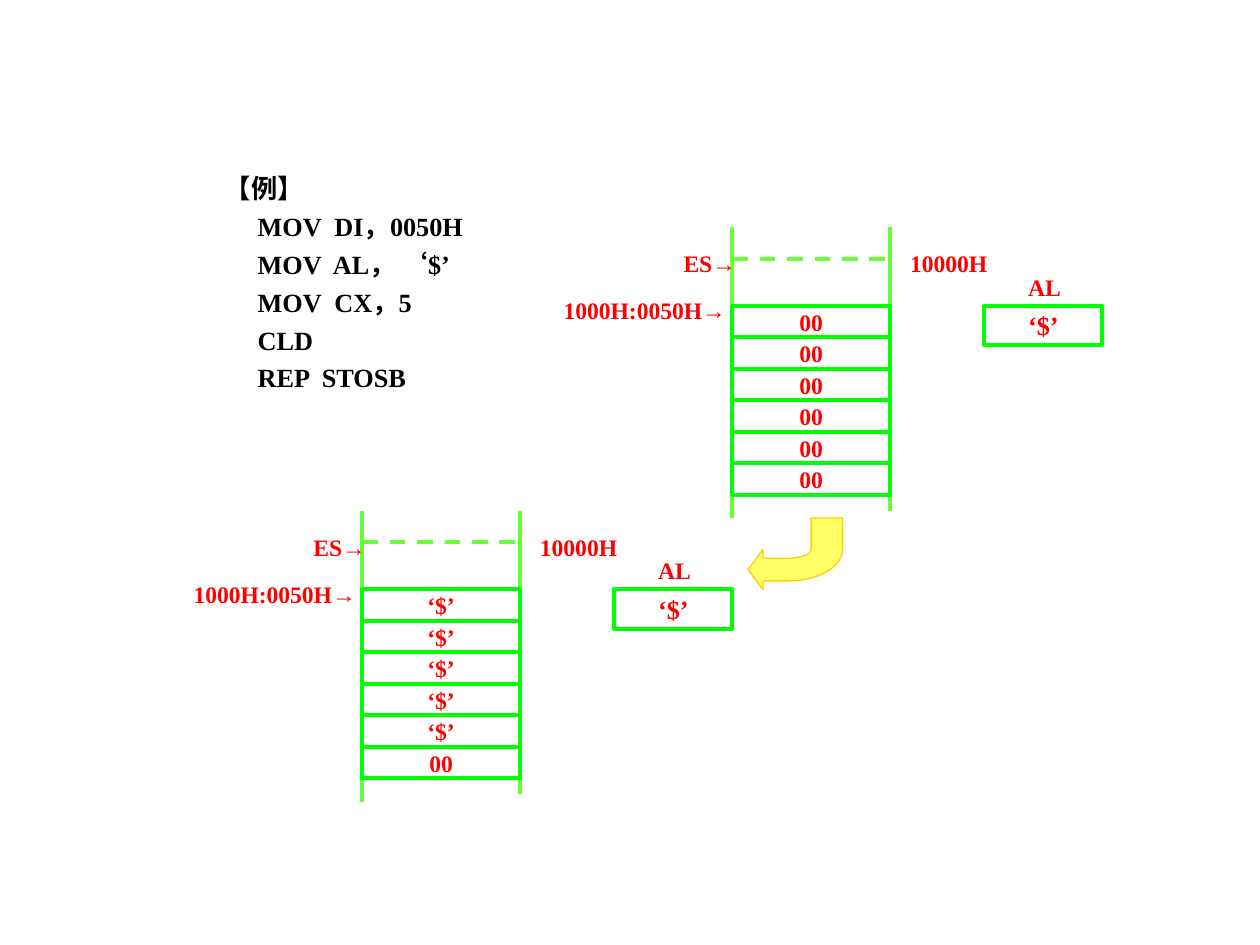
from math import cos, pi, sin

from lxml import etree
from pptx import Presentation
from pptx.dml.color import RGBColor
from pptx.enum.dml import MSO_LINE
from pptx.enum.shapes import MSO_CONNECTOR, MSO_SHAPE
from pptx.enum.text import MSO_ANCHOR, PP_ALIGN
from pptx.oxml.ns import qn
from pptx.util import Pt

RECT = MSO_SHAPE.RECTANGLE
STRAIGHT = MSO_CONNECTOR.STRAIGHT
DASH = MSO_LINE.DASH
MIDDLE = MSO_ANCHOR.MIDDLE
CENTER = PP_ALIGN.CENTER

ROW, WIDTH = 18, 90  # one memory byte


def color(hex_value):
    return RGBColor.from_string(hex_value)


class Diagram:
    font_name = "Times New Roman"
    black, red = "000000", "FF0000"
    rail_green, cell_green = "66FF33", "00FF00"
    arrow_fill, arrow_line = "FFFF66", "FFCF01"
    small, large = 13.5, 15
    stroke = 2.25

    def __init__(self, slide):
        self.slide = slide
        self.shapes = slide.shapes

    def start_group(self):
        self.shapes = self.slide.shapes.add_group_shape().shapes

    def end_group(self):
        self.shapes = self.slide.shapes

    def style_text(self, paragraph, size, hex_value):
        formats = {"name": self.font_name, "size": Pt(size), "bold": True}
        for key, value in formats.items():
            setattr(paragraph.font, key, value)
        paragraph.font.color.rgb = color(hex_value)

    def style_line(self, line, hex_value, width):
        line.color.rgb = color(hex_value)
        line.width = Pt(width)

    def text(self, x, y, w, h, lines, size, hex_value, spacing=1.0, indent=0):
        box = self.shapes.add_textbox(Pt(x), Pt(y), Pt(w), Pt(h))
        frame = box.text_frame
        frame.word_wrap = True
        frame.text = "\n".join(lines)
        for paragraph in frame.paragraphs:
            paragraph.line_spacing = spacing
            if indent:
                paragraph._p.get_or_add_pPr().set("marL", str(Pt(indent)))
            self.style_text(paragraph, size, hex_value)

    def label(self, x, y, w, words, indent=0):
        self.text(x, y, w, 24, [words], self.small, self.red, indent=indent)

    def line(self, x1, y1, x2, y2, dash=None):
        rail = self.shapes.add_connector(STRAIGHT, Pt(x1), Pt(y1), Pt(x2), Pt(y2))
        self.style_line(rail.line, self.rail_green, self.stroke)
        if dash:
            rail.line.dash_style = dash
        etree.SubElement(rail._element.spPr, qn("a:effectLst"))

    def cell(self, x, y, w, h, value, size):
        cell = self.shapes.add_shape(RECT, Pt(x), Pt(y), Pt(w), Pt(h))
        cell.shadow.inherit = False
        cell.fill.background()
        self.style_line(cell.line, self.cell_green, self.stroke)
        frame = cell.text_frame
        frame.text = value
        frame.word_wrap = False
        frame.vertical_anchor = MIDDLE
        frame.paragraphs[0].alignment = CENTER
        self.style_text(frame.paragraphs[0], size, self.red)

    def outline(self, points):
        corners = [(Pt(x), Pt(y)) for x, y in points]
        builder = self.shapes.build_freeform(*corners[0])
        builder.add_line_segments(corners[1:], close=True)
        arrow = builder.convert_to_shape()
        arrow.shadow.inherit = False
        arrow.fill.solid()
        arrow.fill.fore_color.rgb = color(self.arrow_fill)
        self.style_line(arrow.line, self.arrow_line, 0.75)

    def memory(self, x, y, values):
        """Draw a memory column with its addresses and the AL register."""
        self.start_group()
        right = x + WIDTH
        self.line(x, y, x, y + 166.5)
        self.line(right, y, right, y + 162)
        self.line(x, y + ROW, right, y + ROW, DASH)
        for row, value in enumerate(values):
            self.cell(x, y + 45 + row * ROW, WIDTH, ROW, value, self.small)
        self.label(x - 72, y + 9, 90, "ES→", indent=37)
        self.label(x - 117, y + 36, 126, "1000H:0050H→", indent=13.5)
        self.label(x + 94.5, y + 9, 81, "10000H")
        self.label(x + 162, y + 22.5, 36, "AL")
        self.cell(x + 144, y + 45, 67.5, 22.5, "‘$’", self.large)
        self.end_group()


def quarter_arc(cx, cy, rx, ry, steps=16):
    """Points from the bottom of an ellipse to its right end."""
    angles = [pi / 2 * (1 - step / steps) for step in range(steps + 1)]
    return [(cx + rx * cos(a), cy + ry * sin(a)) for a in angles]


def main():
    deck = Presentation()
    deck.slide_width, deck.slide_height = Pt(720), Pt(540)
    diagram = Diagram(deck.slides.add_slide(deck.slide_layouts[6]))

    # Example code
    code = [
        "【例】",
        "     MOV  DI，0050H",
        "     MOV  AL， ‘$’",
        "     MOV  CX，5",
        "     CLD",
        "     REP  STOSB",
    ]
    diagram.text(121.5, 91.5, 189, 160, code, diagram.large, diagram.black, 1.2)

    # Memory before and after the string store
    diagram.memory(418.5, 129.75, ["00"] * 6)
    diagram.memory(207, 291.75, ["‘$’"] * 5 + ["00"])

    # Curved arrow from before to after
    bend_x, bend_y, top = 450.5, 314, 296
    outer = quarter_arc(bend_x, bend_y, 31, 18)
    inner = quarter_arc(bend_x, bend_y, 13, 5)
    head_x = 436
    diagram.outline(
        [(427.5, 325.5), (head_x, 337), (head_x, 332)]
        + outer
        + [(bend_x + 31, top), (bend_x + 13, top)]
        + inner[::-1]
        + [(head_x, 319), (head_x, 314)]
    )

    deck.save("out.pptx")


if __name__ == "__main__":
    main()
